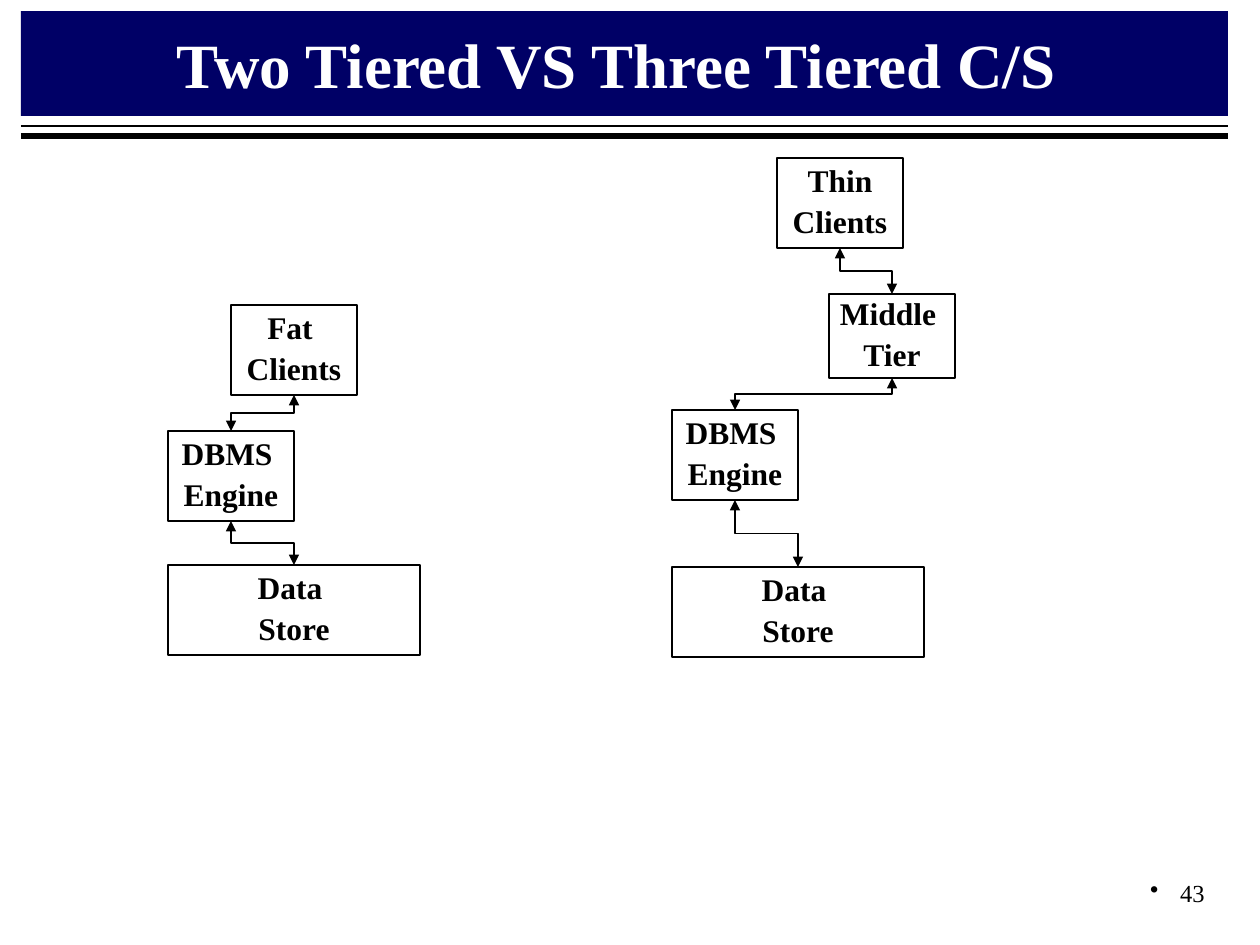
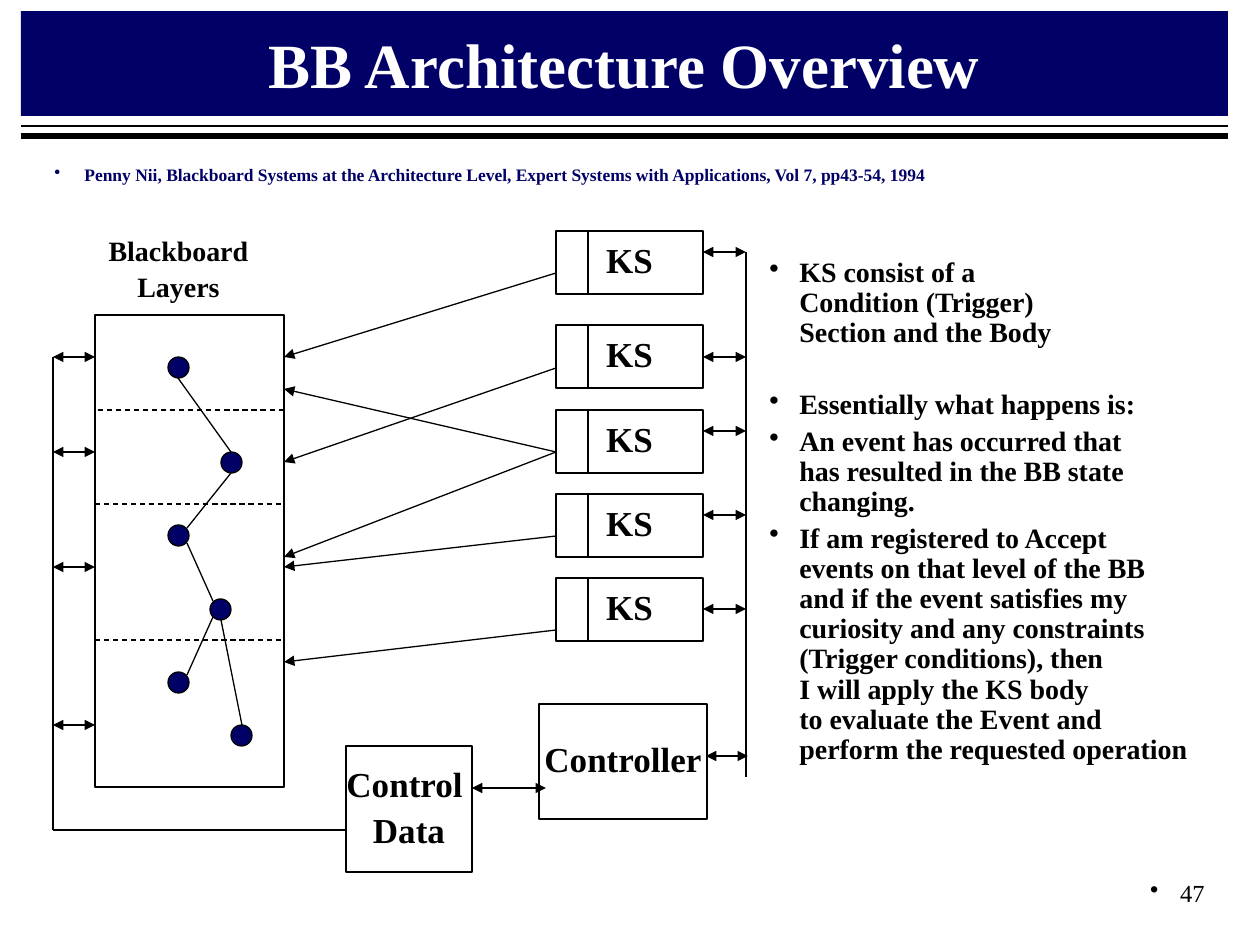
"""Build two slides on tiered client/server and blackboard architectures."""
from dataclasses import dataclass
from itertools import pairwise
from typing import NamedTuple

from lxml import etree
from pptx import Presentation
from pptx.dml.color import RGBColor
from pptx.enum.dml import MSO_LINE
from pptx.enum.shapes import MSO_CONNECTOR, MSO_SHAPE
from pptx.enum.text import MSO_ANCHOR, MSO_AUTO_SIZE, PP_ALIGN
from pptx.oxml.ns import qn
from pptx.util import Emu, Pt

STRAIGHT, ELBOW = MSO_CONNECTOR.STRAIGHT, MSO_CONNECTOR.ELBOW
RECT, OVAL = MSO_SHAPE.RECTANGLE, MSO_SHAPE.OVAL
LEFT, CENTER, RIGHT = PP_ALIGN.LEFT, PP_ALIGN.CENTER, PP_ALIGN.RIGHT
TOP, MIDDLE = MSO_ANCHOR.TOP, MSO_ANCHOR.MIDDLE
DASH, NO_FIT = MSO_LINE.DASH, MSO_AUTO_SIZE.NONE

COLORS = {"ink": "000000", "navy": "000066", "title": "FFFFFF"}
FONT = "Times New Roman"
EMU_PER_PX = 914400 / 126
HANG = 30
THIN = 0.75
BOTH_ENDS = ("headEnd", "tailEnd")
AT_END = ("tailEnd",)


class Area(NamedTuple):
    left: int
    top: int
    width: int
    height: int


class Path(NamedTuple):
    x1: int
    y1: int
    x2: int
    y2: int


@dataclass(frozen=True)
class Style:
    size: int
    color: str = "ink"
    bold: bool = True
    align: PP_ALIGN = CENTER
    spacing: float = 0.9
    bullet: bool = False


@dataclass(frozen=True)
class Box:
    area: Area
    lines: tuple[str, ...]


TITLE = Style(36, "title", spacing=1.0)
PAGE_NUMBER = Style(14, bold=False, align=RIGHT, spacing=1.0, bullet=True)
TIER = Style(18)
MODULE = Style(20)
CAPTION = Style(16)
CITATION = Style(10, "navy", align=LEFT, bullet=True)
EXPLANATION = Style(16, align=LEFT, bullet=True)

TITLE_AREA = Area(21, 11, 1207, 105)
PAGE_AREA = Area(955, 872, 262, 63)
RULES = ((126, 1), (136, 3))

TWO_TIERS = (
    Box(Area(231, 305, 126, 90), ("Fat ", "Clients")),
    Box(Area(168, 431, 126, 90), ("DBMS ", "Engine")),
    Box(Area(168, 565, 252, 90), ("Data ", "Store")),
)
THREE_TIERS = (
    Box(Area(777, 158, 126, 90), ("Thin", "Clients")),
    Box(Area(829, 294, 126, 84), ("Middle ", "Tier")),
    Box(Area(672, 410, 126, 90), ("DBMS ", "Engine")),
    Box(Area(672, 567, 252, 90), ("Data ", "Store")),
)

BLACKBOARD = Area(95, 315, 189, 472)
BOARD_RIGHT = BLACKBOARD.left + BLACKBOARD.width
LAYER_BORDERS = ((98, 410), (95, 504), (95, 640))
NODE_SIZE = 21
NODES = ((168, 357), (221, 452), (168, 525), (210, 599), (168, 672), (231, 725))
NODE_LINKS = (
    Path(178, 378, 231, 452), Path(231, 473, 187, 528), Path(213, 601, 187, 543),
    Path(187, 675, 213, 617), Path(242, 725, 221, 620),
)
KS_LEFT, KS_WIDTH, KS_HEIGHT, TRIGGER_WIDTH = 556, 147, 63, 32
KS_TOPS = (231, 325, 410, 494, 578)
KS_UPDATES = ((273, 357), (368, 462), (452, 557), (452, 389), (536, 567), (630, 662))
CONTROL_DATA = Box(Area(346, 746, 126, 126), ("Control ", "Data"))
CONTROLLER = Box(Area(539, 704, 168, 115), ("Controller",))
DATA_BUS_X, DATA_BUS_BOTTOM = 53, 830
DATA_BUS_TAPS = (357, 452, 567, 725)
KS_BUS_X, KS_BUS_BOTTOM = 746, 777
KS_BUS_TAPS = (252, 357, 431, 515, 609)

CITATION_TEXT = ("Penny Nii, Blackboard Systems at the Architecture Level, "
                 "Expert Systems with Applications, Vol 7, pp43-54, 1994")
EXPLANATION_TEXT = (
    "KS consist of a\vCondition (Trigger)\vSection and the Body",
    "Essentially what happens is:",
    "An event has occurred that\vhas resulted in the BB state\vchanging.",
    "If am registered to Accept\vevents on that level of the BB\vand if the event satisfies my\v"
    "curiosity and any constraints\v(Trigger conditions), then\vI will apply the KS body\v"
    "to evaluate the Event and\vperform the requested operation",
)


def px(length: float) -> Emu:
    """Turn px into EMU."""
    return Emu(round(length * EMU_PER_PX))


def rgb(name: str) -> RGBColor:
    """Look up a named colour."""
    return RGBColor.from_string(COLORS[name])


def apply(target, formats: dict) -> None:
    """Set attributes from a dict of format values."""
    for name, value in formats.items():
        setattr(target, name, value)


def place(shape, area: Area) -> None:
    """Move and size a shape."""
    apply(shape, {name: px(length) for name, length in area._asdict().items()})


def write(frame, lines: tuple[str, ...], style: Style, anchor=MIDDLE, wrap=False, margin=None):
    """Fill a text frame with one styled paragraph per line."""
    apply(frame, {"word_wrap": wrap, "vertical_anchor": anchor, "auto_size": NO_FIT})
    if margin is not None:
        apply(frame, {f"margin_{side}": margin for side in ("left", "top", "right", "bottom")})
    for index, line in enumerate(lines):
        paragraph = frame.add_paragraph() if index else frame.paragraphs[0]
        paragraph.text = line
        if style.bullet:
            properties = paragraph._p.get_or_add_pPr()
            properties.set("marL", str(px(HANG)))
            properties.set("indent", str(-px(HANG)))
            etree.SubElement(properties, qn("a:buChar"), char="•")
        gap = Pt(round(style.size * 0.22, 1)) if index else Pt(0)
        apply(paragraph, {"alignment": style.align, "line_spacing": style.spacing,
                          "space_before": gap})
        for run in paragraph.runs:
            apply(run.font, {"name": FONT, "size": Pt(style.size), "bold": style.bold})
            run.font.color.rgb = rgb(style.color)
        for line_break in paragraph._p.findall(qn("a:br")):
            etree.SubElement(line_break, qn("a:rPr"), sz=str(style.size * 100))


def add_text(slide, area: Area, lines: tuple[str, ...], style: Style, wrap=True, margin=None):
    """Add a text box anchored at the top."""
    text_box = slide.shapes.add_textbox(*map(px, area))
    write(text_box.text_frame, lines, style, TOP, wrap, margin)
    return text_box.text_frame


def add_outline(slide, area: Area, kind=RECT, fill: str | None = None):
    """Add a thinly outlined shape."""
    shape = slide.shapes.add_shape(kind, *map(px, area))
    shape.shadow.inherit = False
    if fill:
        shape.fill.solid()
        shape.fill.fore_color.rgb = rgb(fill)
    else:
        shape.fill.background()
    shape.line.color.rgb = rgb("ink")
    shape.line.width = Pt(THIN)
    return shape


def add_box(slide, box: Box, style: Style):
    """Add a labelled box."""
    shape = add_outline(slide, box.area)
    write(shape.text_frame, box.lines, style)
    return shape


def add_line(slide, path: Path, arrows=(), width=THIN, dash=None, kind=STRAIGHT):
    """Add a connector with optional arrowheads."""
    connector = slide.shapes.add_connector(kind, *map(px, path))
    connector.line.color.rgb = rgb("ink")
    apply(connector.line, {"width": Pt(width), "dash_style": dash})
    properties = connector.element.spPr
    for end in arrows:
        etree.SubElement(properties.find(qn("a:ln")), qn(f"a:{end}"), type="triangle")
    etree.SubElement(properties, qn("a:effectLst"))
    return connector


def link_tiers(slide, upper, lower) -> None:
    """Join the bottom of one tier to the top of the next by a vertical-first elbow."""
    x1, y1 = upper.left + upper.width // 2, upper.top + upper.height
    x2, y2 = lower.left + lower.width // 2, lower.top
    across, down = x2 - x1, y2 - y1
    connector = add_line(slide, Path(0, 0, 1, 1), BOTH_ENDS, kind=ELBOW)
    connector.begin_connect(upper, 2)
    connector.end_connect(lower, 0)
    apply(connector, {
        "left": Emu((x1 + x2 - down) // 2), "top": Emu((y1 + y2 - abs(across)) // 2),
        "width": Emu(down), "height": Emu(abs(across)),
        "rotation": 270 if across > 0 else 90,
    })
    transform = connector.element.spPr.find(qn("a:xfrm"))
    transform.set("flipH", str(int(across > 0)))
    transform.set("flipV", "0")


def start_slide(deck, heading: str, number: str):
    """Add a slide with the title band, double rule and page number."""
    slide = deck.slides.add_slide(deck.slide_layouts[5])
    title = slide.shapes.title
    place(title, TITLE_AREA)
    title.fill.solid()
    title.fill.fore_color.rgb = rgb("navy")
    write(title.text_frame, (heading,), TITLE, wrap=True)
    for y, width in RULES:
        add_line(slide, Path(TITLE_AREA.left, y, TITLE_AREA.left + TITLE_AREA.width, y), width=width)
    add_text(slide, PAGE_AREA, (number,), PAGE_NUMBER)
    return slide


def build_tiers(deck) -> None:
    """Draw the two-tier and three-tier stacks."""
    slide = start_slide(deck, "Two Tiered VS Three Tiered C/S ", "43")
    for stack in (TWO_TIERS, THREE_TIERS):
        tiers = [add_box(slide, box, TIER) for box in stack]
        for upper, lower in pairwise(tiers):
            link_tiers(slide, upper, lower)


def draw_blackboard(slide) -> None:
    """Draw the layered blackboard and its nodes."""
    add_outline(slide, BLACKBOARD)
    add_text(slide, Area(84, 237, 189, 68), ("Blackboard", "Layers"), CAPTION, margin=0)
    for x, y in LAYER_BORDERS:
        add_line(slide, Path(x, y, x + BLACKBOARD.width, y), dash=DASH)
    for x, y in NODES:
        add_outline(slide, Area(x, y, NODE_SIZE, NODE_SIZE), OVAL, "navy")
    for link in NODE_LINKS:
        add_line(slide, link)


def draw_knowledge_sources(slide) -> None:
    """Draw the knowledge sources and their updates to the blackboard."""
    trigger_edge = KS_LEFT + TRIGGER_WIDTH
    for top in KS_TOPS:
        add_box(slide, Box(Area(KS_LEFT, top, KS_WIDTH, KS_HEIGHT), ("KS",)), MODULE)
        add_line(slide, Path(trigger_edge, top, trigger_edge, top + KS_HEIGHT))
    for source_y, board_y in KS_UPDATES:
        add_line(slide, Path(KS_LEFT, source_y, BOARD_RIGHT, board_y), AT_END)


def draw_control(slide) -> None:
    """Draw the control modules and the two buses."""
    for module in (CONTROL_DATA, CONTROLLER):
        add_box(slide, module, MODULE)
    add_line(slide, Path(DATA_BUS_X, DATA_BUS_TAPS[0], DATA_BUS_X, DATA_BUS_BOTTOM))
    add_line(slide, Path(DATA_BUS_X, DATA_BUS_BOTTOM, CONTROL_DATA.area.left, DATA_BUS_BOTTOM))
    add_line(slide, Path(KS_BUS_X, KS_BUS_TAPS[0], KS_BUS_X, KS_BUS_BOTTOM))
    taps = [Path(DATA_BUS_X, y, BLACKBOARD.left, y) for y in DATA_BUS_TAPS]
    taps += [Path(KS_LEFT + KS_WIDTH, y, KS_BUS_X, y) for y in KS_BUS_TAPS]
    taps += [Path(706, 756, 748, 756), Path(472, 788, 546, 788)]
    for tap in taps:
        add_line(slide, tap, BOTH_ENDS)


def build_blackboard(deck) -> None:
    """Draw the blackboard architecture with its explanation."""
    slide = start_slide(deck, "BB Architecture Overview", "47")
    draw_blackboard(slide)
    draw_knowledge_sources(slide)
    draw_control(slide)
    add_text(slide, Area(42, 160, 925, 32), (CITATION_TEXT,), CITATION)
    explanation = add_text(slide, Area(757, 252, 469, 527), EXPLANATION_TEXT, EXPLANATION)
    explanation.paragraphs[1].space_before = Pt(24)


def main() -> None:
    """Build and save the deck."""
    deck = Presentation()
    apply(deck, {"slide_width": px(1260), "slide_height": px(945)})
    build_tiers(deck)
    build_blackboard(deck)
    deck.save("out.pptx")


if __name__ == "__main__":
    main()
